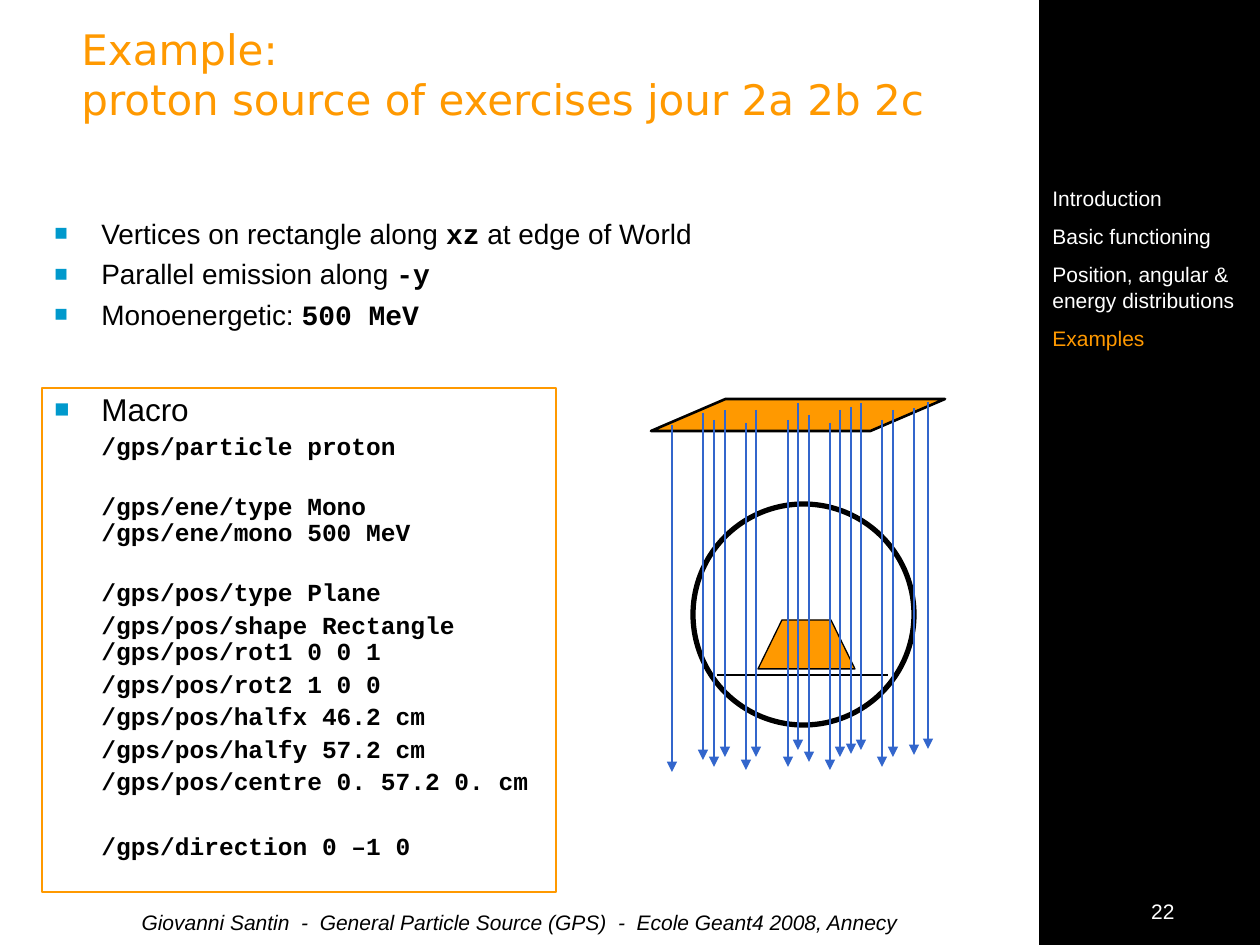
from dataclasses import dataclass

from lxml import etree
from pptx import Presentation
from pptx.dml.color import RGBColor
from pptx.enum.shapes import MSO_CONNECTOR, MSO_SHAPE
from pptx.enum.text import MSO_ANCHOR, PP_ALIGN
from pptx.oxml.ns import qn
from pptx.util import Emu, Pt

STRAIGHT = MSO_CONNECTOR.STRAIGHT
RECTANGLE, OVAL = MSO_SHAPE.RECTANGLE, MSO_SHAPE.OVAL
PARALLELOGRAM = MSO_SHAPE.PARALLELOGRAM
TOP, MIDDLE = MSO_ANCHOR.TOP, MSO_ANCHOR.MIDDLE
LEFT, CENTER, RIGHT = PP_ALIGN.LEFT, PP_ALIGN.CENTER, PP_ALIGN.RIGHT
PX_PER_INCH = 126
BLANK_LAYOUT = 6


@dataclass(frozen=True)
class Theme:
    black: str = "000000"
    white: str = "FFFFFF"
    orange: str = "FF9900"
    beam: str = "3366CC"
    bullet: str = "0099CC"
    sans: str = "Arial"
    mono: str = "Courier New"
    title_font: str = "DejaVu Sans"
    title_size: int = 24
    heading_size: int = 18
    body_size: int = 16
    code_size: int = 14
    small_size: int = 12


THEME = Theme()


@dataclass(frozen=True)
class Box:
    left: int
    top: int
    width: int
    height: int


@dataclass(frozen=True)
class Run:
    text: str
    size: int = THEME.small_size
    font: str = THEME.sans
    color: str = THEME.black
    bold: bool = False
    italic: bool = False


@dataclass(frozen=True)
class Line:
    runs: tuple[Run, ...]
    space_before: float = 7.5
    spacing: float = 1.0
    indent: int = 0
    bullet: bool = False
    align: PP_ALIGN = LEFT


@dataclass(frozen=True)
class Proton:
    x: int
    y: int


TITLE = ("Example: ", "proton source of exercises jour 2a 2b 2c")
FEATURES = (
    (("Vertices on rectangle along ", False), ("xz", True), (" at edge of World", False)),
    (("Parallel emission along ", False), ("-y", True)),
    (("Monoenergetic: ", False), ("500 MeV", True)),
)
CODE_GAP = 3.5
MACRO = (
    ("/gps/particle proton", CODE_GAP),
    ("/gps/ene/type Mono", 19),
    ("/gps/ene/mono 500 MeV", 0),
    ("/gps/pos/type Plane", 19),
    ("/gps/pos/shape Rectangle", CODE_GAP),
    ("/gps/pos/rot1 0 0 1", 0),
    ("/gps/pos/rot2 1 0 0", CODE_GAP),
    ("/gps/pos/halfx 46.2 cm", CODE_GAP),
    ("/gps/pos/halfy 57.2 cm", CODE_GAP),
    ("/gps/pos/centre 0. 57.2 0. cm", CODE_GAP),
    ("/gps/direction 0 –1 0", 22),
)
SECTIONS = ("Introduction", "Basic functioning",
            "Position, angular & energy distributions", "Examples")
CURRENT_SECTION = "Examples"
FOOTER = "Giovanni Santin  -  General Particle Source (GPS)  -  Ecole Geant4 2008, Annecy"
PROTONS = tuple(Proton(x, y) for x, y in (
    (672, 425), (703, 413), (714, 420), (725, 410), (756, 410), (746, 423),
    (809, 415), (840, 410), (893, 410), (882, 420), (861, 403), (851, 407),
    (830, 423), (788, 420), (914, 408), (928, 402), (798, 403)))
PROTON_LENGTH = 347
PHANTOM = ((855, 669), (758, 669), (782, 620), (831, 620))
TEXT_INDENT = 47


def px(value: int) -> Emu:
    return Emu(round(value * 914400 / PX_PER_INCH))


def place(box: Box) -> tuple[Emu, ...]:
    return px(box.left), px(box.top), px(box.width), px(box.height)


def paint(shape, fill: str | None, line: str | None, width: float = 0.75) -> None:
    if fill:
        shape.fill.solid()
        shape.fill.fore_color.rgb = RGBColor.from_string(fill)
    if line:
        shape.line.color.rgb = RGBColor.from_string(line)
        shape.line.width = Pt(width)
    shape.shadow.inherit = False


def add_run(paragraph, run: Run) -> None:
    text_run = paragraph.add_run()
    text_run.text = run.text
    font = text_run.font
    font.size, font.name = Pt(run.size), run.font
    font.bold, font.italic = run.bold, run.italic
    font.color.rgb = RGBColor.from_string(run.color)


def set_indent(paragraph, line: Line) -> None:
    properties = paragraph._p.get_or_add_pPr()
    properties.set("marL", str(px(line.indent)))
    properties.set("indent", str(-px(line.indent) if line.bullet else 0))
    if line.bullet:
        color = etree.SubElement(properties, qn("a:buClr"))
        etree.SubElement(color, qn("a:srgbClr"), val=THEME.bullet)
        etree.SubElement(properties, qn("a:buSzPct"), val="80000")
        etree.SubElement(properties, qn("a:buFont"), typeface=THEME.sans)
        etree.SubElement(properties, qn("a:buChar"), char="■")


def add_text(slide, box: Box, lines: list[Line], anchor: MSO_ANCHOR = TOP):
    shape = slide.shapes.add_textbox(*place(box))
    frame = shape.text_frame
    frame.word_wrap = True
    frame.vertical_anchor = anchor
    for index, line in enumerate(lines):
        paragraph = frame.add_paragraph() if index else frame.paragraphs[0]
        paragraph.alignment = line.align
        paragraph.line_spacing = line.spacing
        paragraph.space_before = Pt(line.space_before)
        set_indent(paragraph, line)
        for run in line.runs:
            add_run(paragraph, run)
    return shape


def add_line(shapes, start: tuple[int, int], end: tuple[int, int],
             color: str, arrow: bool = False) -> None:
    connector = shapes.add_connector(STRAIGHT, *map(px, start + end))
    connector.line.color.rgb = RGBColor.from_string(color)
    connector.line.width = Pt(1.5)
    if arrow:
        etree.SubElement(connector.line._get_or_add_ln(), qn("a:tailEnd"), type="triangle")
    etree.SubElement(connector._element.spPr, qn("a:effectLst"))


def add_target(slide) -> None:
    """Draw the world sphere with the phantom on its table."""
    shapes = slide.shapes.add_group_shape().shapes
    world = shapes.add_shape(OVAL, *place(Box(693, 504, 221, 221)))
    paint(world, THEME.white, THEME.black, 3)
    add_line(shapes, (717, 675), (888, 675), THEME.black)
    builder = shapes.build_freeform(*PHANTOM[0], scale=914400 / PX_PER_INCH)
    builder.add_line_segments(PHANTOM[1:], close=True)
    paint(builder.convert_to_shape(), THEME.orange, THEME.black)


def add_beam(slide) -> None:
    source = slide.shapes.add_shape(PARALLELOGRAM, *place(Box(651, 399, 294, 32)))
    source.adjustments[0] = 2.33
    paint(source, THEME.orange, THEME.black, 1.5)
    shapes = slide.shapes.add_group_shape().shapes
    for proton in PROTONS:
        add_line(shapes, (proton.x, proton.y),
                 (proton.x, proton.y + PROTON_LENGTH), THEME.beam, arrow=True)


def main() -> None:
    presentation = Presentation()
    presentation.slide_width, presentation.slide_height = px(1260), px(945)
    slide = presentation.slides.add_slide(presentation.slide_layouts[BLANK_LAYOUT])
    sidebar = slide.shapes.add_shape(RECTANGLE, *place(Box(1040, 0, 220, 945)))
    paint(sidebar, THEME.black, THEME.black)
    add_target(slide)

    add_text(slide, Box(69, 21, 949, 105), [
        Line((Run(text, THEME.title_size, THEME.title_font, THEME.orange),), 0)
        for text in TITLE], MIDDLE)
    add_text(slide, Box(42, 210, 819, 150), [
        Line(tuple(Run(text, THEME.body_size, THEME.mono if code else THEME.sans, bold=code)
                   for text, code in feature), 4, indent=TEXT_INDENT, bullet=True)
        for feature in FEATURES])
    heading = Line((Run("Macro", THEME.heading_size),), 4.5, 0.9, TEXT_INDENT, True)
    commands = [Line((Run(text, THEME.code_size, THEME.mono, bold=True),), gap, 0.9, TEXT_INDENT)
                for text, gap in MACRO]
    paint(add_text(slide, Box(42, 388, 514, 504), [heading, *commands]), None, THEME.orange)
    sections = add_text(slide, Box(1040, 179, 220, 179), [
        Line((Run(name, color=THEME.orange if name == CURRENT_SECTION else THEME.white),))
        for name in SECTIONS])
    paint(sections, THEME.black, None)
    add_beam(slide)
    add_text(slide, Box(53, 903, 934, 32), [Line((Run(FOOTER, italic=True),), align=CENTER)])
    add_text(slide, Box(1124, 892, 63, 32), [Line((Run("22", color=THEME.white),), align=RIGHT)])
    presentation.save("out.pptx")


if __name__ == "__main__":
    main()
